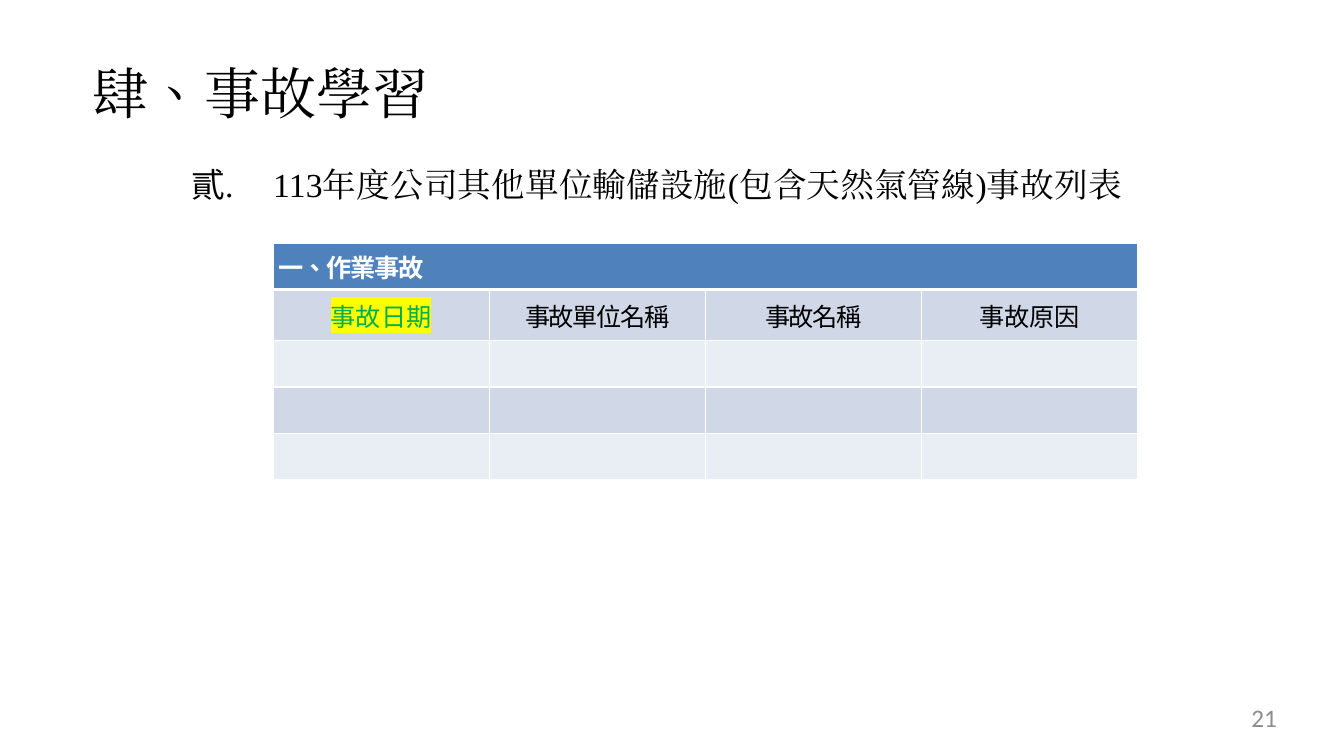
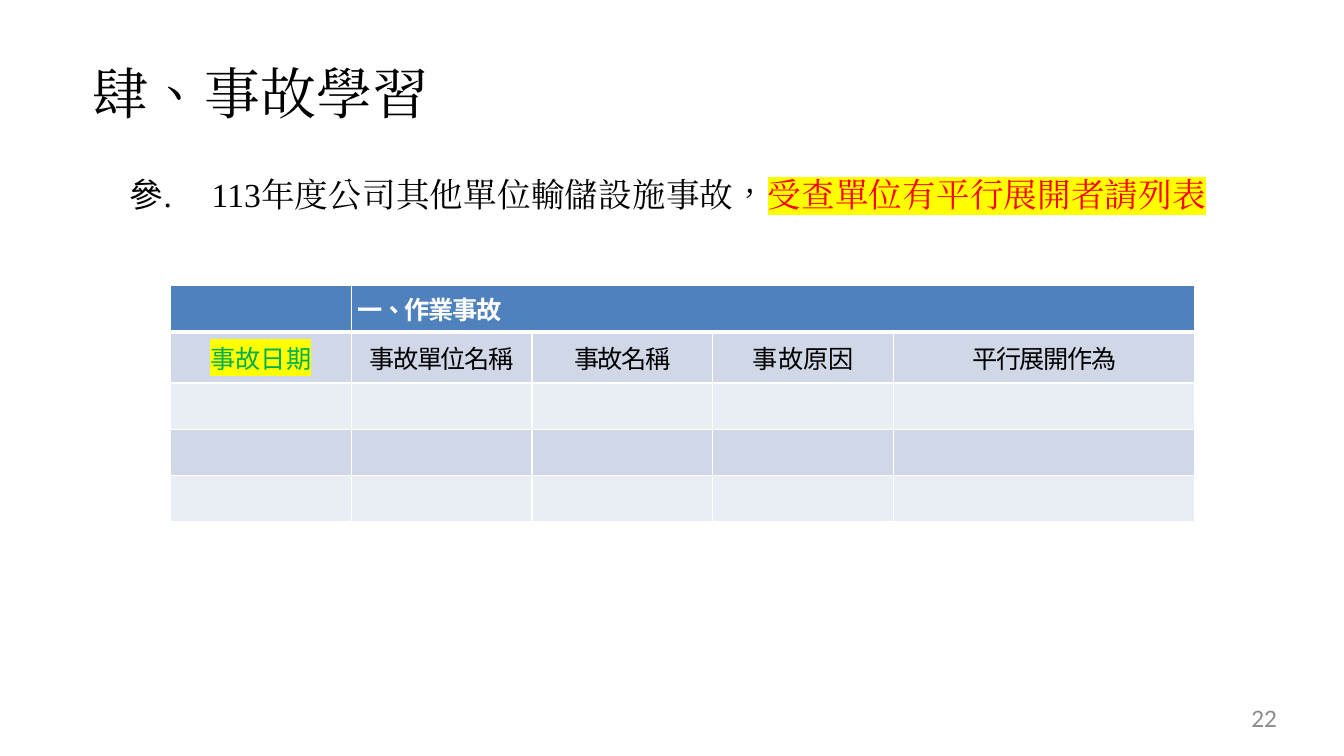
from lxml import etree
from pptx import Presentation
from pptx.dml.color import RGBColor
from pptx.enum import text
from pptx.oxml import ns
from pptx.util import Pt

SERIF, SANS, FOOTER_FONT = "Times New Roman", "Noto Sans CJK SC", "Calibri"
BLACK, WHITE, GREY = "000000", "FFFFFF", "8C8C8C"
RED, GREEN, YELLOW = "FF0000", "00B050", "FFFF00"
HEADER, BAND_DARK, BAND_LIGHT = "4F81BD", "D0D8E8", "E9EDF4"

TITLE_BOX = (64.8, 41, 831, 49)
NUMBER_BOX = (691.2, 502, 221, 21.6)
ROW_HEIGHTS = (33.2, 36.6, 33, 33, 33)


def rgb(value):
    return RGBColor.from_string(value)


def add_xml(parent, tag, **attributes):
    return etree.SubElement(parent, ns.qn(tag), attributes)


def add_text(paragraph, words, size=18, font=SERIF, color=BLACK,
             bold=False, spacing=0, highlight=None):
    run = paragraph.add_run()
    run.text = words
    run.font.size = Pt(size)
    run.font.bold = bold
    run.font.color.rgb = rgb(color)
    properties = run.font._element
    properties.set("lang", "zh-TW")
    properties.set("spc", str(round(spacing * 100)))
    if highlight:
        add_xml(add_xml(properties, "a:highlight"), "a:srgbClr", val=highlight)
    run.font.name = font
    add_xml(properties, "a:ea", typeface=font)


def prepare_box(shape, box, anchor, align):
    shape.left, shape.top, shape.width, shape.height = map(Pt, box)
    frame = shape.text_frame
    frame.margin_left = frame.margin_right = 0
    frame.margin_top = frame.margin_bottom = 0
    frame.word_wrap = True
    frame.auto_size = text.MSO_AUTO_SIZE.NONE
    frame.vertical_anchor = anchor
    paragraph = frame.paragraphs[0]
    paragraph.alignment = align
    paragraph.space_before = Pt(0)
    return paragraph


def set_indent(paragraph, margin, indent):
    properties = paragraph._p.get_or_add_pPr()
    properties.set("marL", str(Pt(margin)))
    properties.set("indent", str(Pt(indent)))
    return properties


def add_title(slide, box):
    title = prepare_box(slide.shapes.title, box,
                        text.MSO_ANCHOR.MIDDLE, text.PP_ALIGN.LEFT)
    set_indent(title, 1.44, 0)
    add_text(title, "肆、事故學習", size=40, spacing=0.1)


def add_heading(slide, box, number, parts):
    heading = prepare_box(slide.placeholders[1], box,
                          text.MSO_ANCHOR.MIDDLE, text.PP_ALIGN.LEFT)
    properties = set_indent(heading, 59.76, -58.32)
    add_xml(properties, "a:buFont", typeface=SERIF)
    add_xml(properties, "a:buAutoNum", type="ea1ChtPeriod", startAt=str(number))
    for words, style in parts:
        add_text(heading, words, size=24, spacing=0.1, **style)


def add_page_number(slide, box, number):
    page_number = prepare_box(slide.shapes.add_textbox(0, 0, 0, 0), box,
                              text.MSO_ANCHOR.TOP, text.PP_ALIGN.RIGHT)
    add_text(page_number, str(number), font=FOOTER_FONT, color=GREY)


def style_cell(cell, fill, top, bottom):
    cell.fill.solid()
    cell.fill.fore_color.rgb = rgb(fill)
    cell.vertical_anchor = text.MSO_ANCHOR.MIDDLE
    cell.margin_left = cell.margin_right = Pt(4.3)
    cell.margin_top = cell.margin_bottom = Pt(2.2)
    properties = cell._tc.get_or_add_tcPr()
    edges = (("a:lnL", 1), ("a:lnR", 1), ("a:lnT", top), ("a:lnB", bottom))
    for position, (tag, width) in enumerate(edges):
        edge = add_xml(properties, tag, w=str(Pt(width)))
        add_xml(add_xml(edge, "a:solidFill"), "a:srgbClr", val=WHITE)
        properties.insert(position, edge)


def add_incident_table(slide, left, top, widths, labels, category_column):
    table = slide.shapes.add_table(
        len(ROW_HEIGHTS), len(widths), Pt(left), Pt(top),
        Pt(sum(widths)), Pt(sum(ROW_HEIGHTS))).table
    table.first_row = table.horz_banding = False
    for column, width in zip(table.columns, widths):
        column.width = Pt(width)
    for index, height in enumerate(ROW_HEIGHTS):
        table.rows[index].height = Pt(height)
        fill = HEADER if index == 0 else (BAND_LIGHT, BAND_DARK)[index % 2]
        for cell in table.rows[index].cells:
            style_cell(cell, fill, 3 if index == 1 else 1, 3 if index == 0 else 1)

    category = table.cell(0, category_column)
    category.merge(table.cell(0, len(widths) - 1))
    add_text(category.text_frame.paragraphs[0], "一、作業事故",
             font=SANS, color=WHITE, bold=True, spacing=-1)
    for index, (words, style) in enumerate(labels):
        label = table.cell(1, index).text_frame.paragraphs[0]
        label.alignment = text.PP_ALIGN.CENTER
        add_text(label, words, font=SANS, **style)


def add_incident_slide(deck, page, number, heading_box, heading, table):
    slide = deck.slides.add_slide(deck.slide_layouts[1])
    add_title(slide, TITLE_BOX)
    add_incident_table(slide, **table)
    add_page_number(slide, NUMBER_BOX, page)
    add_heading(slide, heading_box, number, heading)


def main():
    deck = Presentation()
    deck.slide_width, deck.slide_height = Pt(960), Pt(540)
    tight = {"spacing": -1}
    labels = [
        ("事故日期", {"color": GREEN, "highlight": YELLOW}),
        ("事故單位名稱", tight),
        ("事故名稱", tight),
        ("事故原因", {}),
    ]
    add_incident_slide(
        deck, 21, 2, (135.4, 117, 737, 29),
        [("113年度公司其他單位輸儲設施(包含天然氣管線)事故列表", {})],
        dict(left=195, top=173.6, widths=[154.4] * 4,
             labels=labels, category_column=0))
    add_incident_slide(
        deck, 22, 3, (91.4, 124, 790, 29),
        [("113年度公司其他單位輸儲設施事故，", {}),
         ("受查單位有平行展開者請列表", {"color": RED, "highlight": YELLOW})],
        dict(left=121.7, top=203.8, widths=[129.2] * 4 + [215.2],
             labels=labels + [("平行展開作為", tight)], category_column=1))
    deck.save("out.pptx")


if __name__ == "__main__":
    main()
